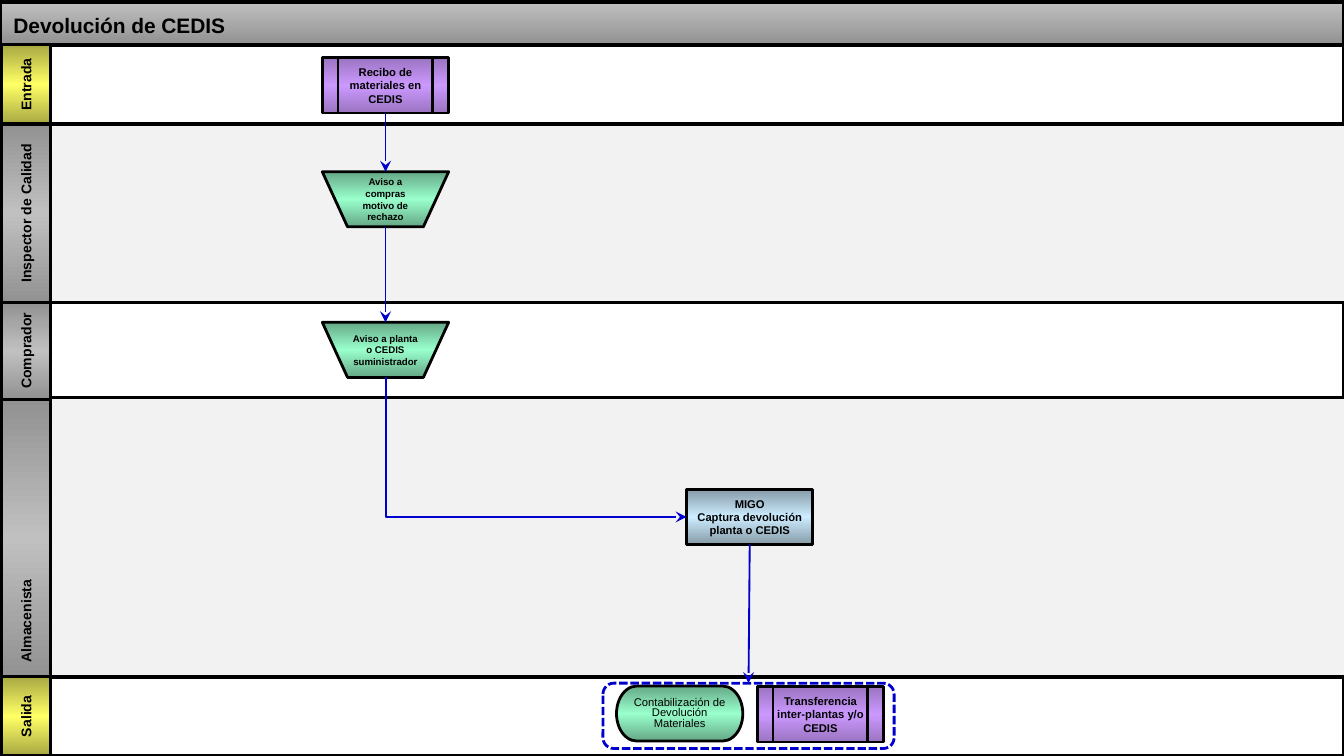
from pptx import Presentation
from pptx.dml.color import RGBColor
from pptx.enum.dml import MSO_LINE
from pptx.enum.shapes import MSO_CONNECTOR, MSO_SHAPE
from pptx.enum.text import MSO_ANCHOR, MSO_AUTO_SIZE, PP_ALIGN
from pptx.oxml import parse_xml
from pptx.oxml.ns import nsdecls, qn
from pptx.util import Pt
from lxml.etree import SubElement

INK = {
    "black": "000000", "white": "FFFFFF", "back": "F2F2F2", "blue": "0000CC",
    "grey": "C0C0C0", "dim": "929292",
    "yellow": "FFFF66", "olive": "A8A843",
    "green": "99FFCC", "moss": "65A886",
    "sky": "CCECFF", "steel": "869BA8",
    "violet": "CC99FF", "plum": "9A74C1",
}
BANDS = {
    "head": ("grey", "dim"),
    "role": ("dim", "grey", "dim"),
    "flow": ("olive", "yellow", "olive"),
    "task": ("moss", "green", "moss"),
    "entry": ("steel", "sky", "steel"),
    "link": ("plum", "violet", "plum"),
}
WIDE, HIGH = 720, 405
BAR = 27  # width of the lane labels
BOX_W, BOX_H = 67.7, 29.5


def rgb(name):
    return RGBColor.from_string(INK[name])


def write(shape, text, size=6, bold=True, align=PP_ALIGN.CENTER,
          anchor=MSO_ANCHOR.MIDDLE, inset=None, space=None, wrap=True):
    frame = shape.text_frame
    frame.text = text
    frame.word_wrap = wrap
    frame.auto_size = MSO_AUTO_SIZE.NONE
    frame.vertical_anchor = anchor
    if inset is not None:
        frame.margin_left = frame.margin_right = Pt(inset)
        frame.margin_top = frame.margin_bottom = Pt(inset)
    for para in frame.paragraphs:
        para.alignment = align
        para.line_spacing = space
        for run in para.runs:
            font = run.font
            font.name, font.size, font.bold = "Arial", Pt(size), bold
            font.color.rgb = rgb("black")


class Chart:
    font = "Arial"

    def __init__(self, slide):
        self.slide = slide
        self.shapes = slide.shapes

    def title(self, text):
        head = self.shapes.title
        head.left, head.top, head.width, head.height = 0, 0, Pt(WIDE), Pt(24)
        write(head, text, size=11.2, align=PP_ALIGN.LEFT,
              anchor=MSO_ANCHOR.BOTTOM)
        self.shapes._spTree.append(head._element)  # bring to front

    def box(self, x, y, w, h, fill=None, kind=MSO_SHAPE.RECTANGLE,
            line="black", weight=2):
        shape = self.shapes.add_shape(kind, Pt(x), Pt(y), Pt(w), Pt(h))
        if fill in BANDS:
            self.blend(shape, BANDS[fill])
        elif fill:
            shape.fill.solid()
            shape.fill.fore_color.rgb = rgb(fill)
        else:
            shape.fill.background()
        shape.line.color.rgb = rgb(line)
        shape.line.width = Pt(weight)
        shape.shadow.inherit = False
        return shape

    def blend(self, shape, names):
        step = 100000 // (len(names) - 1)
        stops = "".join(
            f'<a:gs pos="{i * step}"><a:srgbClr val="{INK[name]}"/></a:gs>'
            for i, name in enumerate(names))
        shape._element.spPr.append(parse_xml(
            f'<a:gradFill {nsdecls("a")} rotWithShape="1"><a:gsLst>{stops}'
            '</a:gsLst><a:lin ang="5400000" scaled="1"/></a:gradFill>'))

    def label(self, text, y, h, fill, low=False):
        shape = self.box(0.5, y, BAR - 0.5, h, fill, weight=1.75)
        write(shape, text, size=7.5, wrap=False,
              align=PP_ALIGN.LEFT if low else PP_ALIGN.CENTER)
        body = shape.text_frame._txBody.bodyPr
        body.set("vert", "vert270")
        if low:
            shape.text_frame.margin_bottom = Pt(7.5)

    def step(self, text, x, y, fill, kind, **style):
        shape = self.box(x, y, BOX_W, BOX_H, fill, kind, weight=1.5)
        write(shape, text, **{"inset": 0.7, **style})
        return shape

    def arrow(self, start, end, kind=MSO_CONNECTOR.STRAIGHT, side=0):
        wire = self.shapes.add_connector(kind, 0, 0, 0, 0)
        wire.begin_connect(start, 2)
        wire.end_connect(end, side)
        wire.line.color.rgb = rgb("blue")
        wire.line.width = Pt(1)
        tip = SubElement(wire.line._get_or_add_ln(), qn("a:tailEnd"))
        tip.set("type", "stealth")
        SubElement(wire._element.spPr, qn("a:effectLst"))
        return wire

    def elbow(self, start, end):
        # One bend: down first, then right
        wire = self.arrow(start, end, MSO_CONNECTOR.ELBOW, side=1)
        x, y, w, h = wire.left, wire.top, wire.width, wire.height
        wire.left, wire.top = x + (w - h) // 2, y + (h - w) // 2
        wire.width, wire.height = h, w
        props = wire._element.spPr
        props.find(qn("a:prstGeom")).set("prst", "bentConnector2")
        frame = props.find(qn("a:xfrm"))
        frame.set("rot", "16200000")
        frame.set("flipH", "1")


def main():
    deck = Presentation()
    deck.slide_width, deck.slide_height = Pt(WIDE), Pt(HIGH)
    slide = deck.slides.add_slide(deck.slide_layouts[5])
    slide.background.fill.solid()
    slide.background.fill.fore_color.rgb = rgb("back")
    chart = Chart(slide)

    # Header and white lanes
    chart.box(0, 362.5, WIDE, 42.5, "white")
    chart.box(0, 24, WIDE, 42.5, "white")
    chart.box(0, 1, WIDE, 23, "head")
    chart.box(BAR, 162, WIDE - BAR, 51, "white")
    chart.title("Devolución de CEDIS")

    # Lane labels
    chart.label("Entrada", 24, 42.5, "flow")
    chart.label("Inspector de Calidad", 66.5, 95.5, "role")
    chart.label("Comprador", 162, 52, "role")
    chart.label("Almacenista", 214, 148.5, "role", low=True)
    chart.label("Salida", 362.5, 42.5, "flow")

    # Steps
    left, mid = 172.7, 367.8
    manual = MSO_SHAPE.FLOWCHART_MANUAL_OPERATION
    sub = MSO_SHAPE.FLOWCHART_PREDEFINED_PROCESS
    receipt = chart.step("Recibo de materiales en CEDIS", left, 31, "link", sub)
    reject = chart.step("Aviso a compras motivo de rechazo", left, 92,
                        "task", manual, size=5.2)
    notice = chart.step("Aviso a planta o CEDIS suministrador", left, 172.7,
                        "task", manual, size=5.2)
    entry = chart.step("MIGO\nCaptura devolución planta o CEDIS", mid, 262.2,
                       "entry", MSO_SHAPE.RECTANGLE)
    chart.step("Contabilización de Devolución Materiales", 330.3, 367.5, "task",
               MSO_SHAPE.FLOWCHART_TERMINATOR, bold=False, space=0.8, inset=1.4)
    chart.step("Transferencia inter-plantas y/o CEDIS", 405.7, 368, "link", sub)

    # Dashed frame around the results
    result = chart.box(323, 366, 156, 35, line="blue", weight=1.5,
                       kind=MSO_SHAPE.FLOWCHART_ALTERNATE_PROCESS)
    result.line.dash_style = MSO_LINE.SQUARE_DOT

    # Flow
    for start, end in ((receipt, reject), (reject, notice), (entry, result)):
        chart.arrow(start, end)
    chart.elbow(notice, entry)

    deck.save("out.pptx")


if __name__ == "__main__":
    main()
